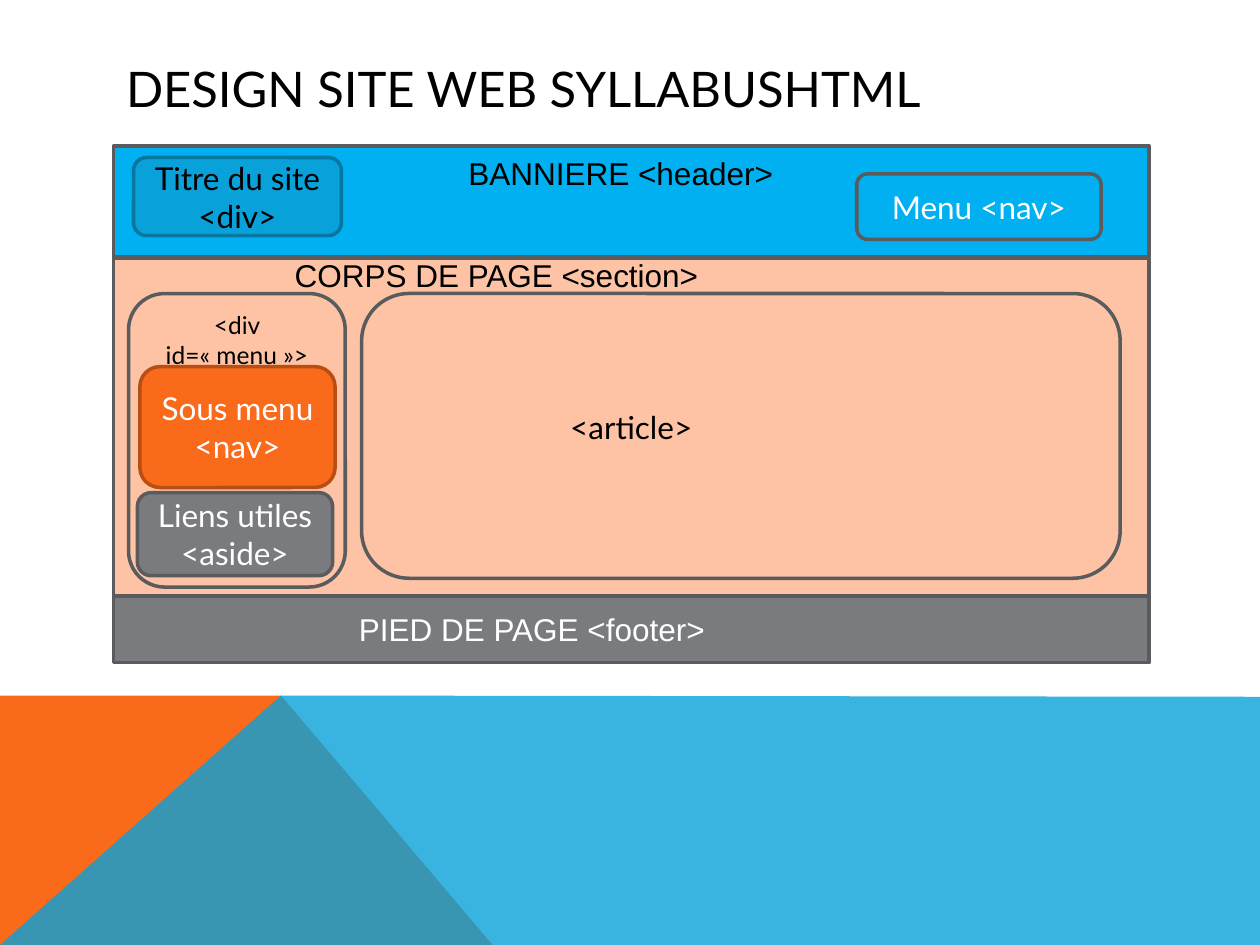
from dataclasses import dataclass
from typing import Optional

from lxml import etree
from pptx import Presentation
from pptx import util as u
from pptx.dml import color
from pptx.enum import shapes, text
from pptx.oxml import ns


@dataclass(frozen=True)
class Theme:
    black: str = "000000"
    white: str = "FFFFFF"
    orange: str = "F96A1B"
    dark_orange: str = "B84E14"
    blue: str = "08A1D9"
    dark_blue: str = "0677A1"
    sky: str = "00B0F0"
    peach: str = "FDC3A4"
    grey: str = "797B7E"
    outline: str = "5A5B5D"
    heading_font: str = "Lato"
    label_font: str = "Arial"
    title_size: int = 28
    body_size: int = 18
    small_size: int = 14
    line_width: int = 2


THEME = Theme()
PAGE_LEFT, PAGE_WIDTH = 0.9, 8.22
RECTANGLE = shapes.MSO_SHAPE.RECTANGLE
ROUNDED = shapes.MSO_SHAPE.ROUNDED_RECTANGLE


@dataclass(frozen=True)
class Block:
    box: tuple[float, float, float, float]
    fill: Optional[str] = None
    lines: tuple[str, ...] = ()
    ink: str = THEME.black
    outline: str = THEME.outline
    kind: int = ROUNDED
    size: int = THEME.body_size
    anchor: int = text.MSO_ANCHOR.MIDDLE


@dataclass(frozen=True)
class Label:
    box: tuple[float, float, float, float]
    line: str
    ink: str = THEME.black


@dataclass(frozen=True)
class Decoration:
    points: tuple[tuple[float, float], ...]
    fill: str
    opacity: int = 100


DECORATIONS = (
    Decoration(((0, 7.5), (0, 5.52), (2.23, 5.52), (3.91, 7.5)), THEME.orange),
    Decoration(((0, 7.5), (2.23, 5.52), (10, 5.53), (10, 7.5)), THEME.blue, 80),
)
BANDS = (
    Block((PAGE_LEFT, 1.16, PAGE_WIDTH, 0.88), THEME.sky, kind=RECTANGLE),
    Block((PAGE_LEFT, 2.05, PAGE_WIDTH, 2.68), THEME.peach, ("<article>",), kind=RECTANGLE),
    Block((PAGE_LEFT, 4.73, PAGE_WIDTH, 0.53), THEME.grey, kind=RECTANGLE),
)
LABELS = (
    Label((3.62, 1.17, 3.7, 0.4), "BANNIERE <header>"),
    Label((2.75, 4.79, 3.39, 0.4), "PIED DE PAGE <footer>", THEME.white),
    Label((2.24, 1.98, 4.11, 0.4), "CORPS DE PAGE <section>"),
)
PANELS = (
    Block((1.06, 1.25, 1.65, 0.62), THEME.blue, ("Titre du site", "<div>"),
          outline=THEME.dark_blue),
    Block((6.8, 1.38, 1.94, 0.52), None, ("Menu <nav>",), THEME.white),
    Block((1.02, 2.33, 1.72, 2.33), None, ("<div id=«\u00a0menu\u00a0»>",),
          size=THEME.small_size, anchor=text.MSO_ANCHOR.TOP),
    Block((1.11, 2.91, 1.55, 0.96), THEME.orange, ("Sous menu <nav>",), THEME.white,
          THEME.dark_orange),
    Block((1.09, 3.91, 1.55, 0.66), THEME.grey, ("Liens utiles <aside>",), THEME.white),
    Block((2.87, 2.33, 6.02, 2.26)),
)


def inches(box: tuple[float, ...]) -> list[int]:
    return [u.Inches(value) for value in box]


def apply(target, values: dict) -> None:
    for name, value in values.items():
        setattr(target, name, value)


def paint(shape, fill: Optional[str]) -> None:
    shape.shadow.inherit = False
    if fill is None:
        shape.fill.background()
    else:
        shape.fill.solid()
        shape.fill.fore_color.rgb = color.RGBColor.from_string(fill)


def write(shape, lines: tuple[str, ...], font: str, size: int, ink: str,
          alignment: int, anchor: int) -> None:
    frame = shape.text_frame
    apply(frame, {"word_wrap": True, "auto_size": text.MSO_AUTO_SIZE.NONE,
                  "vertical_anchor": anchor})
    for index, line in enumerate(lines):
        paragraph = frame.add_paragraph() if index else frame.paragraphs[0]
        paragraph.alignment = alignment
        run = paragraph.add_run()
        run.text = line
        apply(run.font, {"name": font, "size": u.Pt(size)})
        run.font.color.rgb = color.RGBColor.from_string(ink)


def draw_decoration(slide, decoration: Decoration) -> None:
    points = [tuple(inches(point)) for point in decoration.points]
    builder = slide.shapes.build_freeform(*points[0])
    builder.add_line_segments(points[1:], close=True)
    shape = builder.convert_to_shape()
    paint(shape, decoration.fill)
    shape.line.fill.background()
    if decoration.opacity < 100:
        solid_color = shape.fill._xPr.find(".//" + ns.qn("a:srgbClr"))
        alpha = etree.SubElement(solid_color, ns.qn("a:alpha"))
        alpha.set("val", str(decoration.opacity * 1000))


def draw_block(slide, block: Block) -> None:
    shape = slide.shapes.add_shape(block.kind, *inches(block.box))
    paint(shape, block.fill)
    shape.line.width = u.Pt(THEME.line_width)
    shape.line.color.rgb = color.RGBColor.from_string(block.outline)
    write(shape, block.lines, THEME.heading_font, block.size, block.ink,
          text.PP_ALIGN.CENTER, block.anchor)


def draw_label(slide, label: Label) -> None:
    shape = slide.shapes.add_textbox(*inches(label.box))
    write(shape, (label.line,), THEME.label_font, THEME.body_size, label.ink,
          text.PP_ALIGN.LEFT, text.MSO_ANCHOR.TOP)


def draw_title(slide) -> None:
    title = slide.shapes.title
    box = inches((PAGE_LEFT, 0.4, PAGE_WIDTH, 0.6))
    apply(title, dict(zip(("left", "top", "width", "height"), box)))
    write(title, ("DESIGN SITE WEB SYLLABUSHTML",), THEME.heading_font, THEME.title_size,
          THEME.black, text.PP_ALIGN.LEFT, text.MSO_ANCHOR.MIDDLE)


def main() -> None:
    presentation = Presentation()
    apply(presentation, {"slide_width": u.Inches(10), "slide_height": u.Inches(7.5)})
    slide = presentation.slides.add_slide(presentation.slide_layouts[5])
    draw_title(slide)
    for decoration in DECORATIONS:
        draw_decoration(slide, decoration)
    for band in BANDS:
        draw_block(slide, band)
    for label in LABELS:
        draw_label(slide, label)
    for panel in PANELS:
        draw_block(slide, panel)
    presentation.save("out.pptx")


main()
